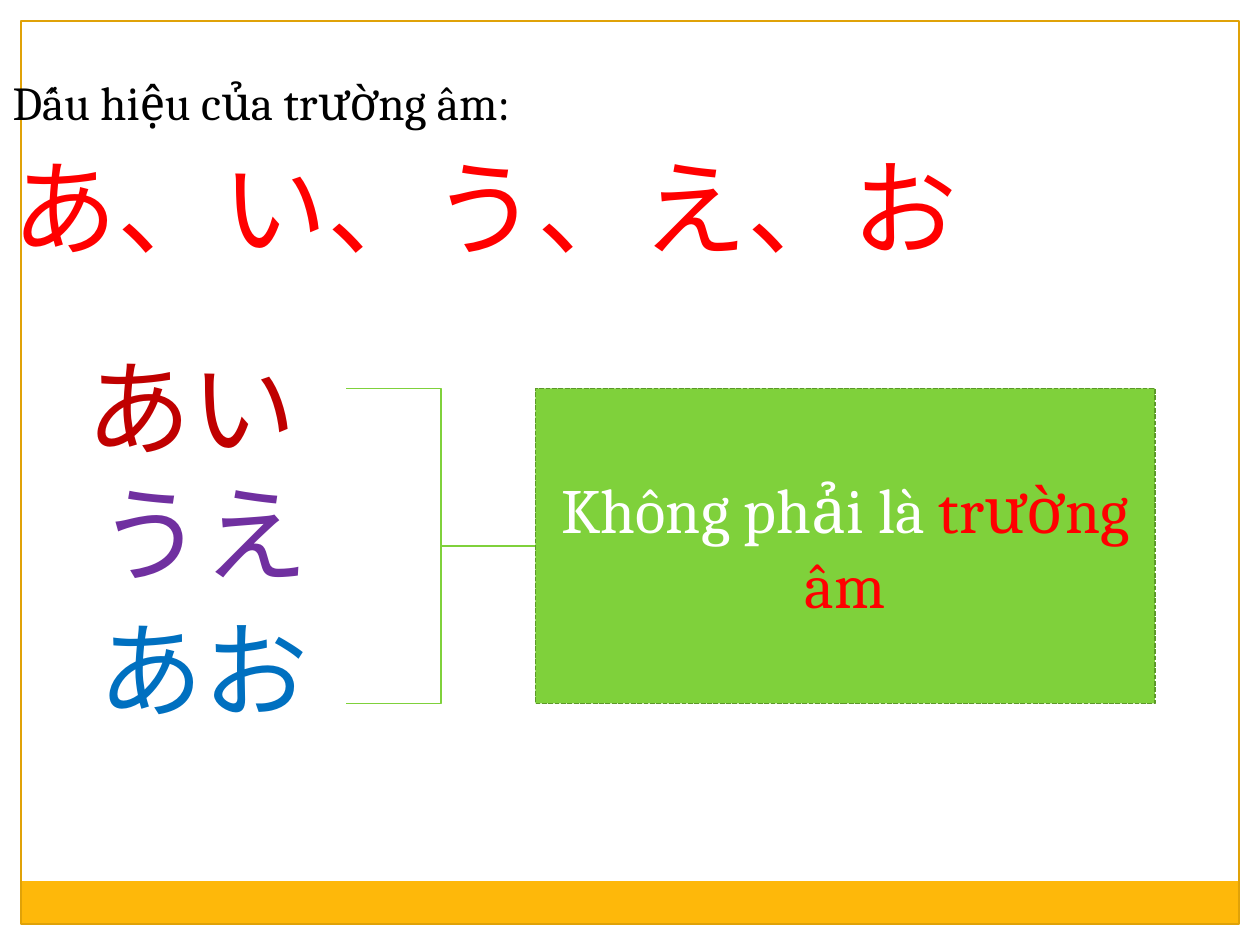
"""Build the slide on the signs of long vowels in Japanese."""
from dataclasses import dataclass
from typing import Any

from pptx import Presentation
from pptx.dml.color import RGBColor
from pptx.enum.dml import MSO_LINE as Dash
from pptx.enum.shapes import MSO_SHAPE as Preset
from pptx.enum.text import MSO_ANCHOR as Anchor, MSO_AUTO_SIZE as AutoSize, PP_ALIGN as Align
from pptx.util import Pt

RED, GREEN = "FF0000", "7FD13B"
INSETS = {"margin_left": Pt(7.2), "margin_right": Pt(7.2),
          "margin_top": Pt(3.6), "margin_bottom": Pt(3.6)}


@dataclass(frozen=True)
class Box:
    left: float
    top: float
    width: float
    height: float

    def lengths(self) -> tuple:
        return tuple(Pt(n) for n in (self.left, self.top, self.width, self.height))


@dataclass(frozen=True)
class Words:
    text: str
    size: float
    font: str
    color: str


@dataclass(frozen=True)
class KanaPair:
    box: Box
    words: Words


FRAME = Box(12, 12, 696, 516)
BAND = Box(12, 503.5, 696, 24.5)
HEADING = Box(0, 42, 648, 120)
ANSWER = Box(306, 222, 354, 180)
BRACKET_LEFT, BRACKET_SPINE = 198, 252
HEADING_LINES = [
    (Words("Dấu hiệu của trường âm:", 27, "Cambria", "000000"), 0),
    (Words("あ、い、う、え、お", 60, "Arial", RED), 15),
]
KANA_PAIRS = [
    KanaPair(Box(42.5, 192, 135, 79), Words("あい", 60, "Arial", "C00000")),
    KanaPair(Box(49, 264, 135, 79), Words("うえ", 60, "Arial", "7030A0")),
    KanaPair(Box(49, 342, 135, 79), Words("あお", 60, "Arial", "0070C0")),
]
ANSWER_WORDS = [
    Words("Không phải là ", 36, "Cambria", "FFFFFF"),
    Words("trường âm", 36, "Cambria", RED),
]


def color(value: str) -> RGBColor:
    return RGBColor.from_string(value)


def apply(target: Any, values: dict) -> None:
    for name, value in values.items():
        setattr(target, name, value)


def add_words(paragraph: Any, words: Words) -> None:
    run = paragraph.add_run()
    run.text = words.text
    apply(run.font, {"size": Pt(words.size), "name": words.font, "bold": False})
    run.font.color.rgb = color(words.color)


def style_shape(shape: Any, fill: str = "", line: str = "", width: float = 0.75) -> None:
    shape.shadow.inherit = False
    if fill:
        shape.fill.solid()
        shape.fill.fore_color.rgb = color(fill)
    else:
        shape.fill.background()
    if line:
        shape.line.color.rgb = color(line)
        shape.line.width = Pt(width)
    else:
        shape.line.fill.background()


def add_rectangle(slide: Any, box: Box, **style: Any) -> Any:
    shape = slide.shapes.add_shape(Preset.RECTANGLE, *box.lengths())
    style_shape(shape, **style)
    return shape


def place_heading(slide: Any) -> None:
    title = slide.shapes.title
    slide.shapes.element.append(title.element)
    apply(title, dict(zip(("left", "top", "width", "height"), HEADING.lengths())))
    frame = title.text_frame
    apply(frame, INSETS | {"vertical_anchor": Anchor.TOP, "word_wrap": True,
                           "auto_size": AutoSize.NONE})
    for index, (words, space) in enumerate(HEADING_LINES):
        paragraph = frame.add_paragraph() if index else frame.paragraphs[0]
        apply(paragraph, {"alignment": Align.LEFT, "line_spacing": 0.9,
                          "space_before": Pt(space)})
        add_words(paragraph, words)


def add_kana_pair(slide: Any, pair: KanaPair) -> None:
    frame = slide.shapes.add_textbox(*pair.box.lengths()).text_frame
    apply(frame, INSETS | {"word_wrap": False, "auto_size": AutoSize.SHAPE_TO_FIT_TEXT})
    add_words(frame.paragraphs[0], pair.words)


def add_bracket(slide: Any) -> None:
    top, bottom = ANSWER.top, ANSWER.top + ANSWER.height
    middle = (top + bottom) / 2
    builder = slide.shapes.build_freeform(BRACKET_LEFT, top, scale=Pt(1))
    builder.add_line_segments([(BRACKET_SPINE, top), (BRACKET_SPINE, bottom),
                               (BRACKET_LEFT, bottom)], close=False)
    builder.move_to(BRACKET_SPINE, middle)
    builder.add_line_segments([(ANSWER.left, middle)], close=False)
    style_shape(builder.convert_to_shape(), line=GREEN)


def add_answer(slide: Any) -> None:
    shape = add_rectangle(slide, ANSWER, fill=GREEN, line="5C9929", width=0.91)
    shape.line.dash_style = Dash.SQUARE_DOT
    frame = shape.text_frame
    apply(frame, INSETS | {"vertical_anchor": Anchor.MIDDLE, "word_wrap": True})
    paragraph = frame.paragraphs[0]
    paragraph.alignment = Align.CENTER
    for words in ANSWER_WORDS:
        add_words(paragraph, words)


def main() -> None:
    presentation = Presentation()
    apply(presentation, {"slide_width": Pt(720), "slide_height": Pt(540)})
    slide = presentation.slides.add_slide(presentation.slide_layouts[5])
    add_rectangle(slide, BAND, fill="FEB80A")
    add_rectangle(slide, FRAME, line="E0A208")
    place_heading(slide)
    for pair in KANA_PAIRS:
        add_kana_pair(slide, pair)
    add_bracket(slide)
    add_answer(slide)
    presentation.save("out.pptx")


if __name__ == "__main__":
    main()
